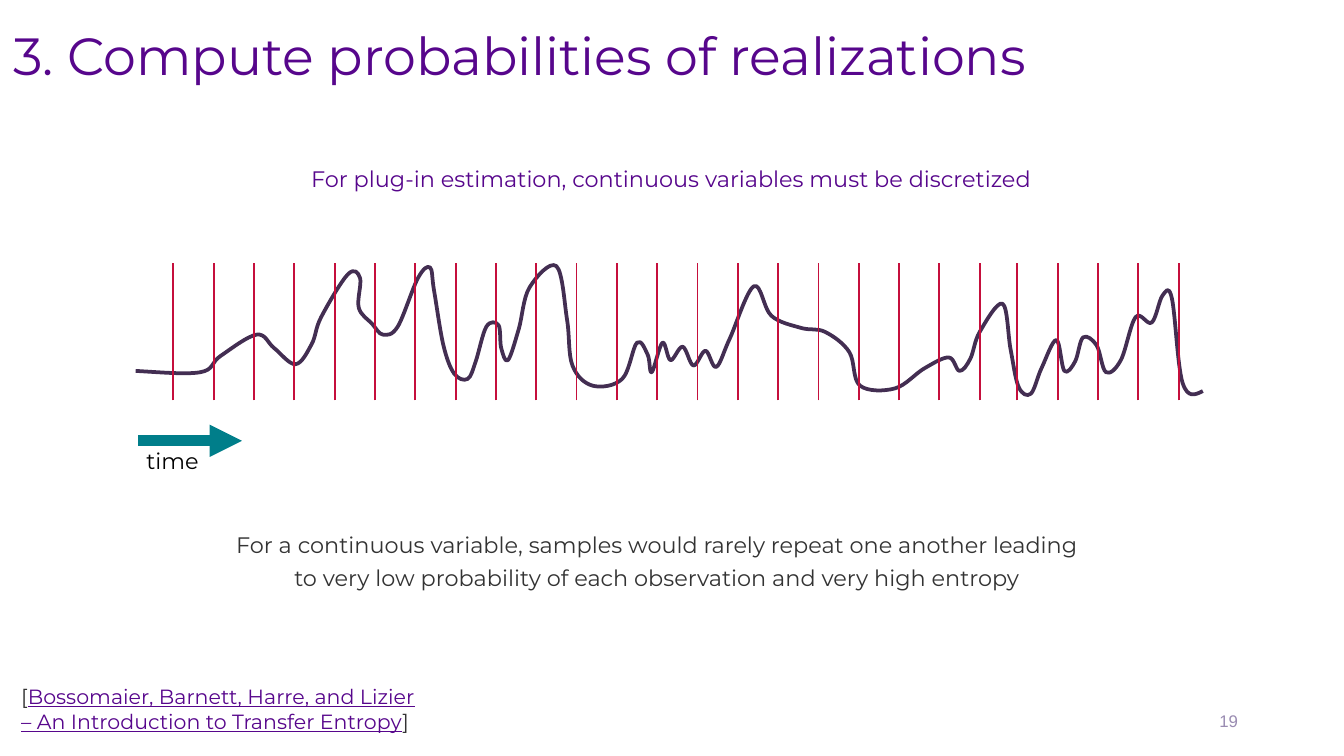
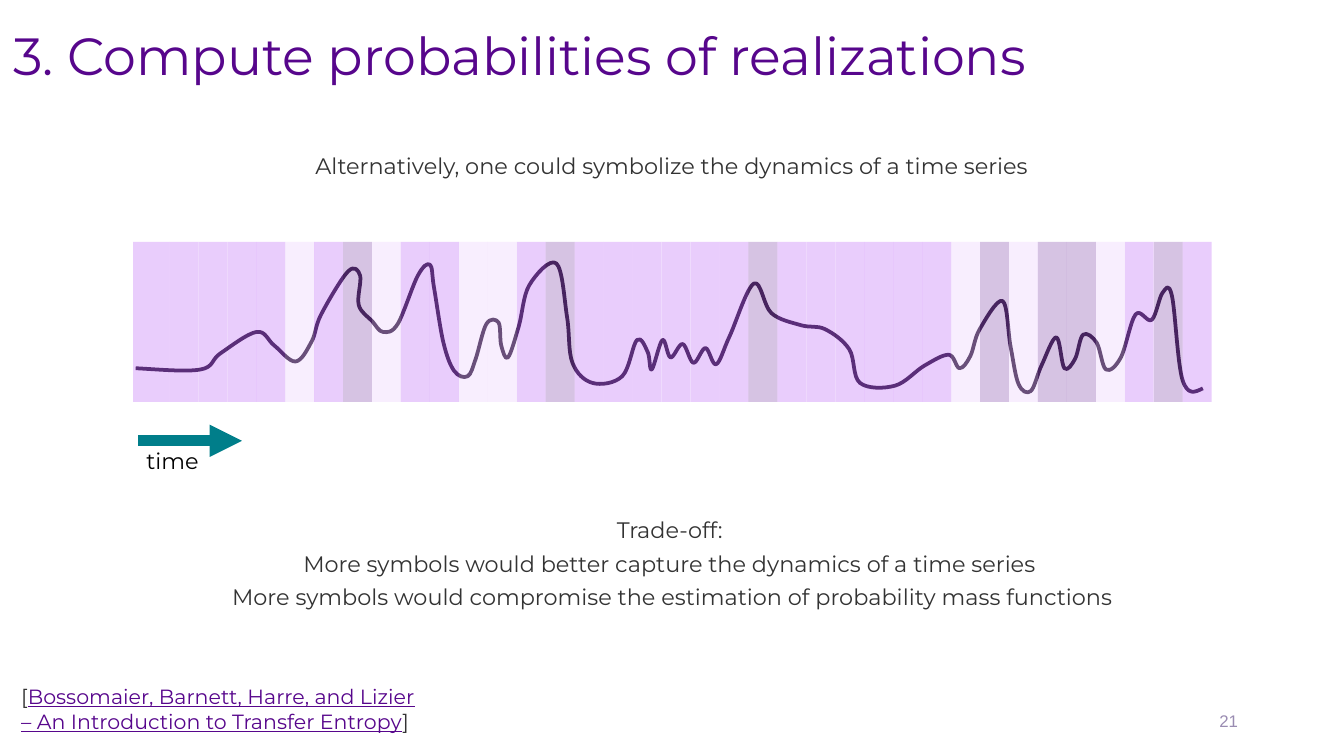
from dataclasses import dataclass

import pptx
import pptx.dml.color
import pptx.enum.shapes
import pptx.enum.text
import pptx.oxml
import pptx.oxml.ns
import pptx.util
from pptx.util import Inches

COLORS = {
    "title": "57068C", "text": "333333", "black": "000000", "number": "9A8CB2",
    "arrow": "007E8A", "curve": "432E52", "tick": "C50F3C",
    "high": "57068C", "middle": "A72EF6", "low": "E2B9FC",
}
ALIGN = pptx.enum.text.PP_ALIGN
ANCHOR = pptx.enum.text.MSO_ANCHOR

# Paragraph formats
PLAIN = {"alignment": ALIGN.LEFT}
TITLE = {"alignment": ALIGN.LEFT, "line_spacing": 1.15}
BODY = {"alignment": ALIGN.CENTER, "line_spacing": 1.25}
NUMBER = {"alignment": ALIGN.RIGHT}

# Time series, points in inches; the curve passes through all of them
SERIES = [
    (1.01, 2.76), (1.49, 2.77), (1.64, 2.65), (1.91, 2.49), (2.04, 2.59), (2.2, 2.71),
    (2.32, 2.56), (2.39, 2.36), (2.59, 2.04), (2.68, 2.07), (2.67, 2.29), (2.77, 2.41),
    (2.85, 2.49), (2.96, 2.43), (3.11, 2.07), (3.2, 1.99), (3.23, 2.16), (3.3, 2.57),
    (3.38, 2.78), (3.48, 2.82), (3.54, 2.69), (3.62, 2.43), (3.71, 2.42), (3.73, 2.59),
    (3.78, 2.68), (3.86, 2.45), (3.94, 2.14), (4.14, 1.98), (4.22, 2.38), (4.26, 2.72),
    (4.41, 2.87), (4.63, 2.82), (4.74, 2.55), (4.82, 2.64), (4.85, 2.77), (4.93, 2.55),
    (4.99, 2.68), (5.08, 2.58), (5.16, 2.72), (5.25, 2.61), (5.33, 2.73), (5.43, 2.52),
    (5.61, 2.13), (5.74, 2.35), (5.96, 2.44), (6.14, 2.47), (6.32, 2.62), (6.4, 2.87),
    (6.66, 2.89), (6.88, 2.74), (7.06, 2.66), (7.14, 2.76), (7.22, 2.67), (7.29, 2.47),
    (7.46, 2.26), (7.52, 2.6), (7.58, 2.88), (7.67, 2.93), (7.75, 2.74), (7.86, 2.53),
    (7.92, 2.76), (8, 2.69), (8.06, 2.51), (8.16, 2.57), (8.23, 2.77), (8.34, 2.68),
    (8.45, 2.36), (8.57, 2.4), (8.65, 2.2), (8.72, 2.22), (8.8, 2.85), (8.95, 2.91),
]
# Points that only steer the direction of the two ends
LEAD_IN, LEAD_OUT = (0.41, 2.71), (9.16, 2.67)
UNITS = 1000  # curve units per inch

# Sampling times: two evenly spaced runs
TICKS = [1.29 + 0.3 * i for i in range(21)] + [7.57 + 0.3 * i for i in range(5)]

# One symbol per time band; the first band is wider than the rest
SYMBOLS = "MMMMMLMHLMMLLMHMMMMMMHMMMMMMLHLHHLMHM"
LEVELS = {"H": "high", "M": "middle", "L": "low"}
BAND_STEP = (8.8 - 1.26) / 35
BAND_EDGES = [0.99] + [1.26 + BAND_STEP * i for i in range(len(SYMBOLS))]


@dataclass
class Run:
    text: str
    color: str = "text"
    underline: bool = False


@dataclass
class Label:
    box: tuple[float, float, float, float]
    paragraphs: list[list[Run]]
    size: float
    format: dict
    margin: float = 0.1  # top and bottom
    font: str = "Montserrat"
    anchor: ANCHOR = ANCHOR.TOP
    wrap: bool = True


def rgb(name: str) -> pptx.dml.color.RGBColor:
    return pptx.dml.color.RGBColor.from_string(COLORS[name])


def element(tag: str, attributes: str = "", inner: str = ""):
    return pptx.oxml.parse_xml(
        f'<a:{tag} {pptx.oxml.ns.nsdecls("a")} {attributes}>{inner}</a:{tag}>')


def set_all(target, values: dict) -> None:
    for name, value in values.items():
        setattr(target, name, value)


def add_label(s, label: Label) -> None:
    tf = s.shapes.add_textbox(*map(Inches, label.box)).text_frame
    set_all(tf, {
        "word_wrap": label.wrap, "vertical_anchor": label.anchor,
        "margin_left": Inches(0.1), "margin_right": Inches(0.1),
        "margin_top": Inches(label.margin), "margin_bottom": Inches(label.margin),
    })
    for i, runs in enumerate(label.paragraphs):
        p = tf.add_paragraph() if i else tf.paragraphs[0]
        set_all(p, label.format)
        for run in runs:
            r = p.add_run()
            r.text = run.text
            set_all(r.font, {"name": label.font, "size": pptx.util.Pt(label.size),
                             "underline": run.underline})
            r.font.color.rgb = rgb(run.color)


def add_line(s, start: tuple[float, float], end: tuple[float, float],
             color: str, width: float, arrow: bool = False) -> None:
    sp = s.shapes.add_connector(pptx.enum.shapes.MSO_CONNECTOR.STRAIGHT,
                                *map(Inches, start + end))
    sp.line.color.rgb = rgb(color)
    sp.line.width = pptx.util.Pt(width)
    if arrow:
        ln = sp._element.spPr.find(pptx.oxml.ns.qn("a:ln"))
        ln.append(element("tailEnd", 'type="triangle"'))
    sp._element.spPr.append(element("effectLst"))


def add_curve(s, shift: float = 0) -> None:
    """Draw the series as a smooth curve, moved down by shift inches."""
    steered = [(round(x * UNITS), round((y + shift) * UNITS))
               for x, y in [LEAD_IN, *SERIES, LEAD_OUT]]
    pts = steered[1:-1]
    builder = s.shapes.build_freeform(*pts[0], scale=Inches(1) / UNITS)
    builder.add_line_segments(pts[1:], close=False)
    sp = builder.convert_to_shape()
    sp.shadow.inherit = False
    sp.fill.background()
    sp.line.color.rgb = rgb("curve")
    sp.line.width = pptx.util.Pt(2)

    # Replace each straight segment by a Bezier with neighbour-based tangents
    left, top = (min(values) for values in zip(*pts))
    pts = [(x - left, y - top) for x, y in steered]
    segments = list(sp._element.iter(pptx.oxml.ns.qn("a:lnTo")))
    for segment, a, b, c, d in zip(segments, pts, pts[1:], pts[2:], pts[3:]):
        leave = [round(q + (r - p) / 6) for p, q, r in zip(a, b, c)]
        reach = [round(q - (r - p) / 6) for p, q, r in zip(b, c, d)]
        points = "".join(f'<a:pt x="{x}" y="{y}"/>' for x, y in (leave, reach, c))
        segment.getparent().replace(segment, element("cubicBezTo", inner=points))


def add_band(s, left: float, right: float, level: str) -> None:
    sp = s.shapes.add_shape(pptx.enum.shapes.MSO_SHAPE.RECTANGLE, Inches(left),
                            Inches(1.8), Inches(right - left), Inches(1.19))
    sp.shadow.inherit = False
    sp.line.fill.background()
    sp.fill.solid()
    sp.fill.fore_color.rgb = rgb(level)
    color = next(sp._element.spPr.iter(pptx.oxml.ns.qn("a:srgbClr")))
    color.append(element("alpha", 'val="24000"'))


def add_body(s, box: tuple[float, float, float, float], *lines: str,
             color: str = "text") -> None:
    add_label(s, Label(box, [[Run(line, color)] for line in lines], 12, BODY))


def new_slide(prs, number: int):
    """Add a slide with the shared title, page number, citation and time arrow."""
    s = prs.slides.add_slide(prs.slide_layouts[6])
    citation = [
        Run("["),
        Run("Bossomaier, Barnett, Harre, and Lizier – An Introduction to Transfer Entropy",
            "title", True),
        Run("]"),
    ]
    for label in (
        Label((0, 0, 10, 0.98), [[Run("3. Compute probabilities of realizations", "title")]],
              28, TITLE),
        Label((7.06, 5.21, 2.25, 0.3), [[Run(str(number), "number")]], 9, NUMBER,
              0.05, "Arial", ANCHOR.MIDDLE),
        Label((0.06, 5.04, 3.17, 0.47), [citation], 11, PLAIN, 0.05),
        Label((0.99, 3.28, 0.6, 0.3), [[Run("time", "black")]], 12, PLAIN, 0.05, wrap=False),
    ):
        add_label(s, label)
    add_line(s, (1.03, 3.28), (1.8, 3.28), "arrow", 5.75, arrow=True)
    return s


def add_sampling_slide(prs) -> None:
    s = new_slide(prs, 19)
    add_body(s, (1.94, 1.08, 6.11, 0.57),
             "For plug-in estimation, continuous variables must be discretized", color="title")
    add_curve(s)
    for x in TICKS:
        add_line(s, (x, 2.98), (x, 1.96), "tick", 1)
    add_body(s, (1.65, 3.8, 6.48, 0.57),
             "For a continuous variable, samples would rarely repeat one another leading "
             "to very low probability of each observation and very high entropy")


def add_symbols_slide(prs) -> None:
    s = new_slide(prs, 21)
    add_curve(s, -0.02)
    add_body(s, (1.76, 0.98, 6.48, 0.57),
             "Alternatively, one could symbolize the dynamics of a time series")
    add_body(s, (1.56, 3.69, 6.89, 0.93),
             "Trade-off: ",
             "More symbols would better capture the dynamics of a time series ",
             "More symbols would compromise the estimation of probability mass functions")
    for left, right, symbol in zip(BAND_EDGES, BAND_EDGES[1:], SYMBOLS):
        add_band(s, left, right, LEVELS[symbol])


def main() -> None:
    prs = pptx.Presentation()
    # Widescreen, 16:9
    prs.slide_width = Inches(10)
    prs.slide_height = Inches(10) * 9 // 16
    add_sampling_slide(prs)
    add_symbols_slide(prs)
    prs.save("out.pptx")


if __name__ == "__main__":
    main()
